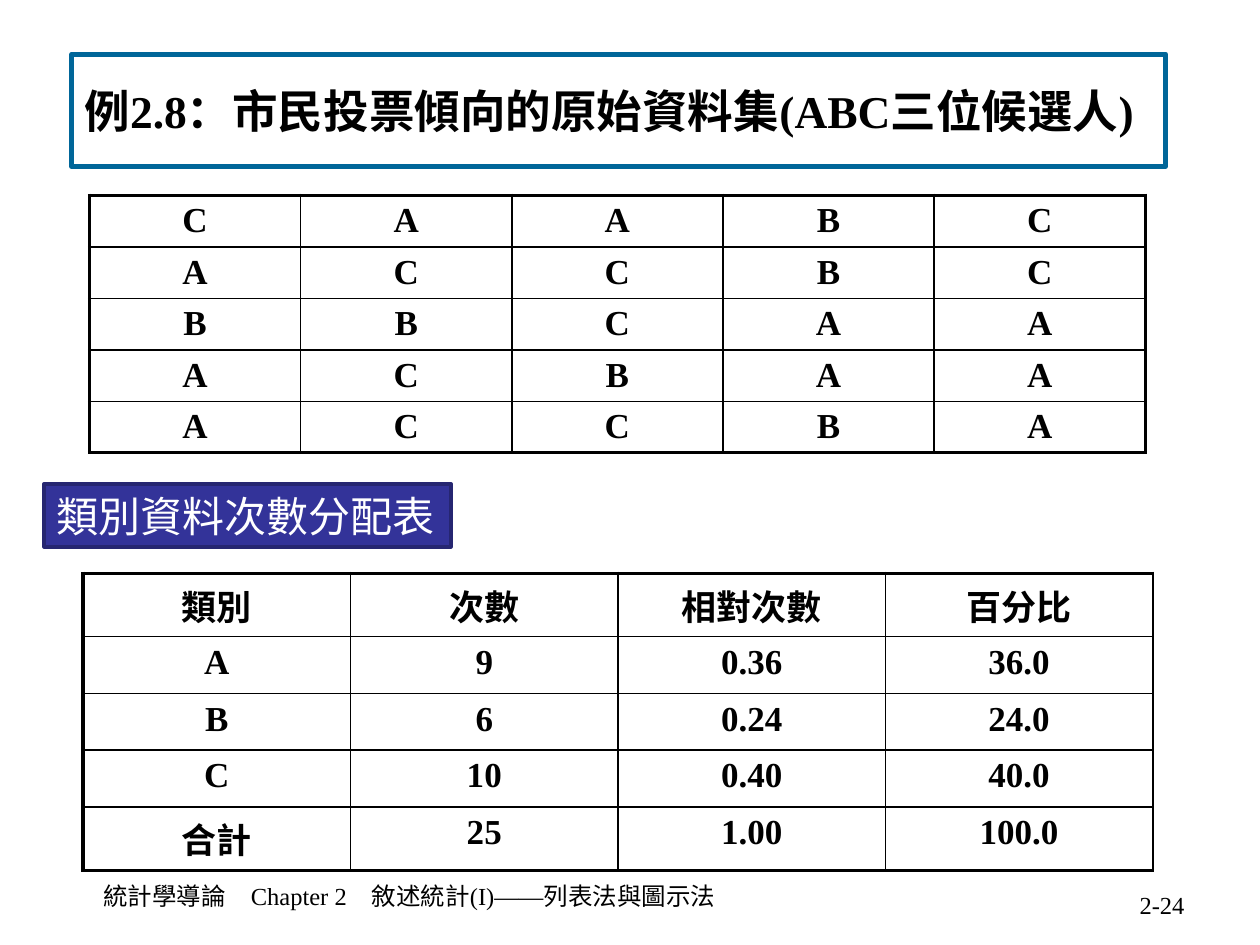
from dataclasses import dataclass

from lxml import etree
from pptx import Presentation
from pptx import util as u
from pptx.dml.color import RGBColor
from pptx.enum import shapes, text
from pptx.oxml import ns


@dataclass(frozen=True)
class Theme:
    font: str = "Times New Roman"
    ink: str = "000000"
    white: str = "FFFFFF"
    title_frame: str = "006699"
    label_fill: str = "333399"
    label_frame: str = "262671"
    title_size: float = 26
    label_size: float = 24
    table_size: float = 20
    footer_size: float = 14
    outer_border: float = 2.25
    inner_border: float = 1


def write(frame, words, *, size, color, bold=False, align=text.PP_ALIGN.LEFT):
    para = frame.paragraphs[0]
    para.alignment = align
    span = para.add_run()
    span.text = words
    font = span.font
    font.name, font.size, font.bold = Theme.font, u.Pt(size), bold
    font.color.rgb = RGBColor.from_string(color)


def set_border(cell, side, width, color):
    """Draw one side (L, R, T or B) of a table cell."""
    line = etree.SubElement(cell._tc.get_or_add_tcPr(), ns.qn(f"a:ln{side}"), w=str(u.Pt(width)))
    fill = etree.SubElement(line, ns.qn("a:solidFill"))
    etree.SubElement(fill, ns.qn("a:srgbClr"), val=color)


def set_outline(shape, color, width):
    shape.line.color.rgb = RGBColor.from_string(color)
    shape.line.width = u.Pt(width)


class SlideBuilder:
    def __init__(self, page, theme):
        self.page = page
        self.theme = theme

    def title(self, words, left, top, width, height):
        box = self.page.shapes.title
        box.left, box.top, box.width, box.height = map(u.Inches, (left, top, width, height))
        set_outline(box, self.theme.title_frame, 3)
        frame = box.text_frame
        frame.auto_size = text.MSO_AUTO_SIZE.NONE
        frame.vertical_anchor = text.MSO_ANCHOR.MIDDLE
        write(frame, words, size=self.theme.title_size, color=self.theme.ink, bold=True)

    def table(self, rows, left, top, width, row_height, open_right=False):
        """Add a grid with a heavy frame; open_right keeps the right edge thin."""
        theme = self.theme
        last_row, last_column = len(rows) - 1, len(rows[0]) - 1
        grid = self.page.shapes.add_table(
            len(rows), len(rows[0]), u.Inches(left), u.Inches(top),
            u.Inches(width), u.Inches(row_height * len(rows))).table
        grid.first_row = grid.horz_banding = False
        for r, row in enumerate(rows):
            for c, words in enumerate(row):
                cell = grid.cell(r, c)
                heavy = {"L": c == 0, "R": c == last_column and not open_right,
                         "T": r == 0, "B": r == last_row}
                for side, is_heavy in heavy.items():
                    width = theme.outer_border if is_heavy else theme.inner_border
                    set_border(cell, side, width, theme.ink)
                cell.fill.background()
                write(cell.text_frame, words, size=theme.table_size, color=theme.ink,
                      bold=True, align=text.PP_ALIGN.CENTER)

    def label(self, words, left, top, width, height):
        box = self.page.shapes.add_shape(
            shapes.MSO_SHAPE.RECTANGLE, *map(u.Inches, (left, top, width, height)))
        box.shadow.inherit = False
        box.fill.solid()
        box.fill.fore_color.rgb = RGBColor.from_string(self.theme.label_fill)
        set_outline(box, self.theme.label_frame, 2)
        frame = box.text_frame
        frame.word_wrap = False
        frame.auto_size = text.MSO_AUTO_SIZE.SHAPE_TO_FIT_TEXT
        frame.vertical_anchor = text.MSO_ANCHOR.TOP
        write(frame, words, size=self.theme.label_size, color=self.theme.white)

    def footer(self, words, left, top, width, height, align, anchor=text.MSO_ANCHOR.TOP):
        box = self.page.shapes.add_textbox(*map(u.Inches, (left, top, width, height)))
        frame = box.text_frame
        frame.word_wrap = True
        frame.vertical_anchor = anchor
        write(frame, words, size=self.theme.footer_size, color=self.theme.ink, align=align)


def main():
    deck = Presentation()
    deck.slide_width, deck.slide_height = u.Inches(10), u.Inches(7.5)
    builder = SlideBuilder(deck.slides.add_slide(deck.slide_layouts[5]), Theme())

    votes = ["CAABC", "ACCBC", "BBCAA", "ACBAA", "ACCBA"]
    frequencies = [
        ("類別", "次數", "相對次數", "百分比"),
        ("A", "9", "0.36", "36.0"),
        ("B", "6", "0.24", "24.0"),
        ("C", "10", "0.40", "40.0"),
        ("合計", "25", "1.00", "100.0"),
    ]
    builder.title("例2.8：市民投票傾向的原始資料集(ABC三位候選人)", 0.57, 0.43, 8.68, 0.89)
    builder.table(votes, 0.71, 1.55, 8.38, 0.37)
    builder.table(frequencies, 0.66, 4.55, 8.49, 0.45, open_right=True)
    builder.label("類別資料次數分配表", 0.35, 3.84, 3.23, 0.5)
    builder.footer("統計學導論　Chapter 2　敘述統計(I)——列表法與圖示法",
                   0.25, 6.94, 6, 0.34, text.PP_ALIGN.CENTER)
    builder.footer("2-24", 7.17, 7.01, 2.33, 0.34, text.PP_ALIGN.RIGHT, text.MSO_ANCHOR.MIDDLE)
    deck.save("out.pptx")


if __name__ == "__main__":
    main()
